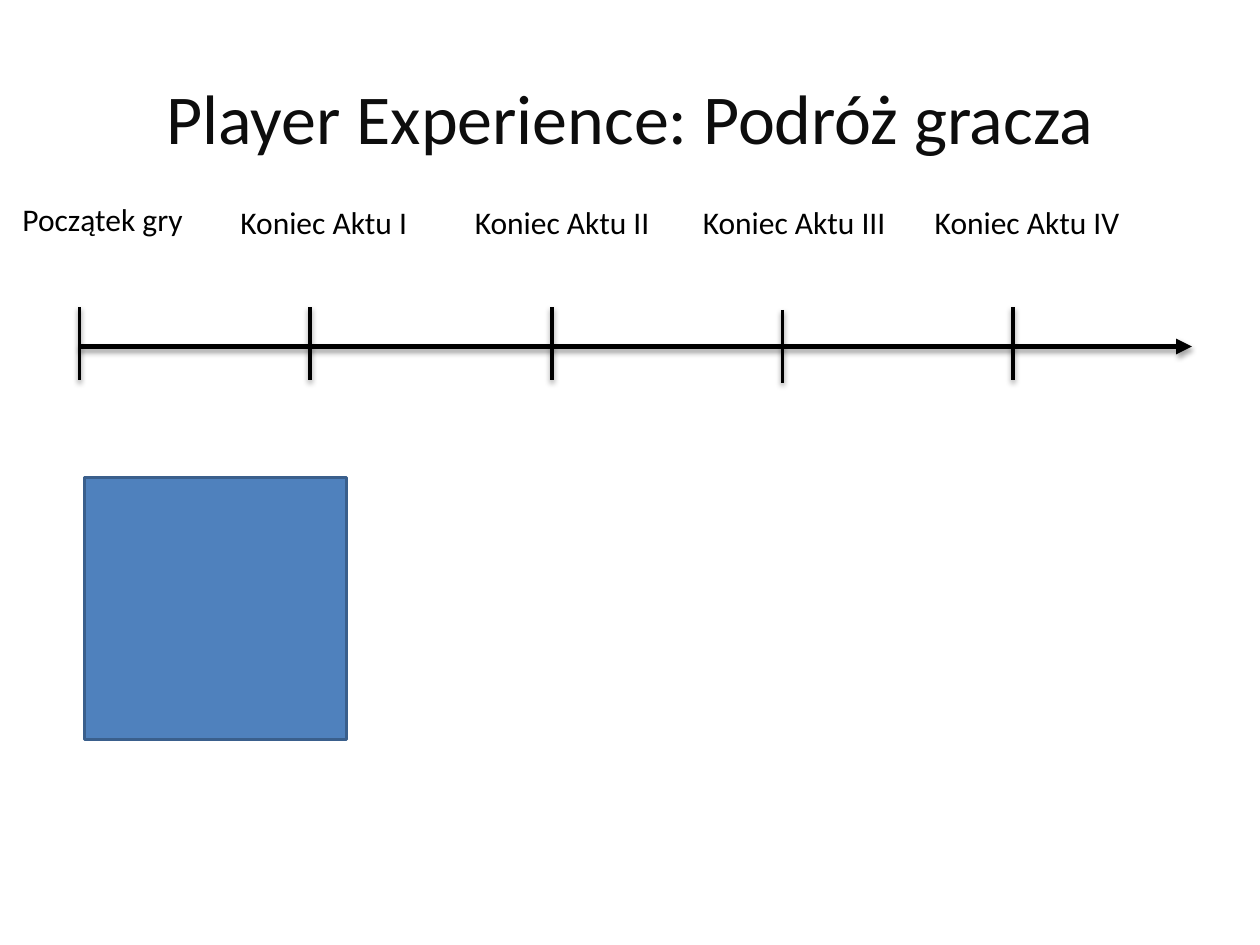
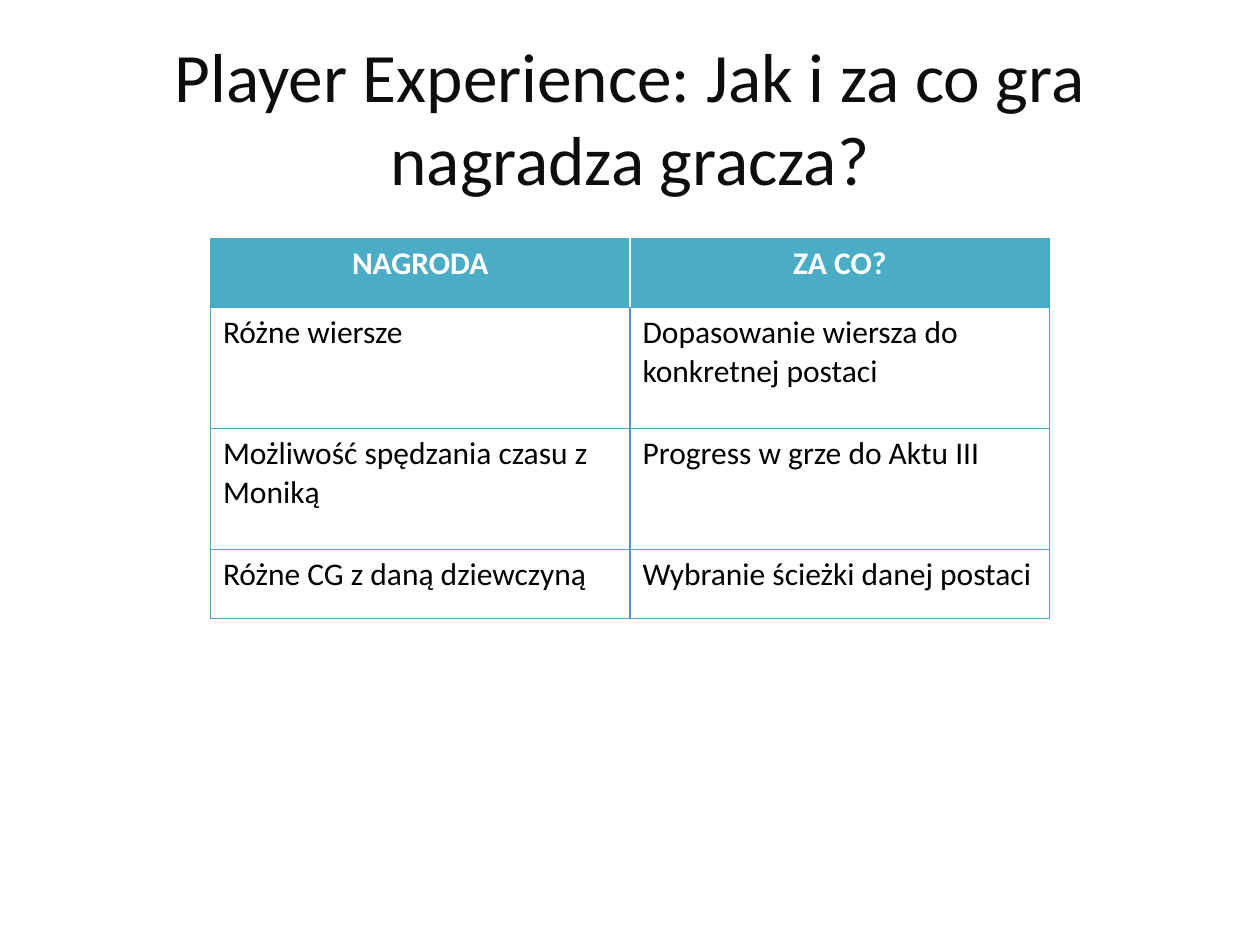
from lxml import etree
from pptx import Presentation
from pptx.dml.color import RGBColor
from pptx.enum.shapes import MSO_CONNECTOR, MSO_SHAPE
from pptx.enum.text import MSO_ANCHOR, PP_ALIGN
from pptx.oxml import parse_xml
from pptx.oxml.ns import nsdecls, qn
from pptx.util import Inches, Pt

STRAIGHT = MSO_CONNECTOR.STRAIGHT
RECTANGLE = MSO_SHAPE.RECTANGLE
MIDDLE = MSO_ANCHOR.MIDDLE
LEFT, CENTER = PP_ALIGN.LEFT, PP_ALIGN.CENTER

FONT = "Calibri"
BLANK_LAYOUT = 6
COLORS = {
    "title": "0D0D0D",
    "text": "000000",
    "white": "FFFFFF",
    "square": "4F81BD",
    "square_edge": "3A5F8C",
    "header": "4BACC6",
    "border": "46AAC5",
    "divider": "558ED5",
}

AXIS_Y = 2.75
AXIS_END = 9.46
TICK_HEIGHT = 0.58
# Label, tick x, tick top, label left, label top, label width
MILESTONES = [
    ("Początek gry", 0.63, 2.44, 0.08, 1.54, 1.52),
    ("Koniec Aktu I", 2.46, 2.44, 1.81, 1.56, 1.63),
    ("Koniec Aktu II", 4.38, 2.44, 3.67, 1.56, 1.63),
    ("Koniec Aktu III", 6.21, 2.46, 5.48, 1.56, 1.74),
    ("Koniec Aktu IV", 8.04, 2.44, 7.32, 1.56, 1.71),
]

REWARDS = [
    ("NAGRODA", "ZA CO?"),
    ("Różne wiersze", "Dopasowanie wiersza do konkretnej postaci"),
    ("Możliwość spędzania czasu z Moniką", "Progress w grze do Aktu III"),
    ("Różne CG z daną dziewczyną", "Wybranie ścieżki danej postaci"),
]
ROW_HEIGHTS = [0.55, 0.96, 0.96, 0.55]
COLUMN_WIDTH = 3.33


def rgb(name):
    """Return the named colour."""
    return RGBColor.from_string(COLORS[name])


def write(frame, text, size, color="text", align=LEFT, bold=False):
    """Put one formatted paragraph into a text frame."""
    para = frame.paragraphs[0]
    para.alignment = align
    span = para.add_run()
    span.text = text
    for key, value in {"name": FONT, "size": Pt(size), "bold": bold}.items():
        setattr(span.font, key, value)
    span.font.color.rgb = rgb(color)


def add_text(shapes, text, left, top, width, height, **style):
    """Add a wrapping text box and return its frame."""
    area = [Inches(value) for value in (left, top, width, height)]
    frame = shapes.add_textbox(*area).text_frame
    frame.word_wrap = True
    write(frame, text, **style)
    return frame


def add_title(page, text, size):
    """Add the centred slide title."""
    frame = add_text(page.shapes, text, 0.5, 0.3, 9, 1.25,
                     size=size, color="title", align=CENTER)
    frame.vertical_anchor = MIDDLE


def add_line(shapes, start, end, width, shadow_alpha, shadow_distance):
    """Add a black line with a soft shadow below it."""
    points = [Inches(value) for value in (*start, *end)]
    line = shapes.add_connector(STRAIGHT, *points)
    line.line.color.rgb = rgb("text")
    line.line.width = Pt(width)
    line._element.spPr.append(parse_xml(
        f'<a:effectLst {nsdecls("a")}>'
        f'<a:outerShdw blurRad="{Pt(3.1)}" dist="{Pt(shadow_distance)}" '
        f'dir="5400000" rotWithShape="0"><a:srgbClr val="{COLORS["text"]}">'
        f'<a:alpha val="{shadow_alpha * 1000}"/></a:srgbClr>'
        '</a:outerShdw></a:effectLst>'))
    return line


def add_timeline(page):
    """Add the arrow with a tick and a label for each milestone."""
    lines = page.shapes.add_group_shape().shapes
    labels = page.shapes.add_group_shape().shapes
    start = MILESTONES[0][1]
    axis = add_line(lines, (start, AXIS_Y), (AXIS_END, AXIS_Y), 3, 35, 1.8)
    etree.SubElement(axis.line._get_or_add_ln(), qn("a:tailEnd"),
                     type="triangle")
    for text, x, tick_top, left, top, width in MILESTONES:
        add_line(lines, (x, tick_top), (x, tick_top + TICK_HEIGHT), 2, 38, 1.6)
        add_text(labels, text, left, top, width, 0.4, size=18)


def add_square(page):
    """Add the blue square under the timeline."""
    area = [Inches(value) for value in (0.67, 3.79, 2.08, 2.08)]
    square = page.shapes.add_shape(RECTANGLE, *area)
    square.shadow.inherit = False
    square.fill.solid()
    square.fill.fore_color.rgb = rgb("square")
    square.line.color.rgb = rgb("square_edge")
    square.line.width = Pt(2)


def set_borders(cell, borders):
    """Set cell borders, given as (colour, width) for L, R, T and B."""
    properties = cell._tc.get_or_add_tcPr()
    for index, (side, (color, width)) in enumerate(zip("LRTB", borders)):
        properties.insert(index, parse_xml(
            f'<a:ln{side} {nsdecls("a")} w="{Pt(width)}"><a:solidFill>'
            f'<a:srgbClr val="{COLORS[color]}"/></a:solidFill></a:ln{side}>'))


def add_rewards_table(page):
    """Add the table of rewards and what earns them."""
    area = [Inches(value)
            for value in (1.67, 1.89, 2 * COLUMN_WIDTH, sum(ROW_HEIGHTS))]
    table = page.shapes.add_table(len(REWARDS), 2, *area).table
    table.horz_banding = False
    for column in table.columns:
        column.width = Inches(COLUMN_WIDTH)
    outer = ("border", 0.75)
    for row, texts in enumerate(REWARDS):
        table.rows[row].height = Inches(ROW_HEIGHTS[row])
        is_header = row == 0
        inner = ("white" if is_header else "divider", 1)
        for column, text in enumerate(texts):
            cell = table.cell(row, column)
            if is_header:
                cell.fill.solid()
                cell.fill.fore_color.rgb = rgb("header")
                write(cell.text_frame, text, 18, "white", CENTER, True)
            else:
                cell.fill.background()
                write(cell.text_frame, text, 18)
            sides = (outer, inner) if column == 0 else (inner, outer)
            set_borders(cell, (*sides, outer, outer))


def main():
    """Build both slides and save the deck."""
    deck = Presentation()
    deck.slide_width, deck.slide_height = Inches(10), Inches(7.5)
    layout = deck.slide_layouts[BLANK_LAYOUT]

    journey = deck.slides.add_slide(layout)
    add_title(journey, "Player Experience: Podróż gracza", 40)
    add_timeline(journey)
    add_square(journey)

    rewards = deck.slides.add_slide(layout)
    add_title(rewards, "Player Experience: Jak i za co gra nagradza gracza?",
              39.6)
    add_rewards_table(rewards)

    deck.save("out.pptx")


main()
